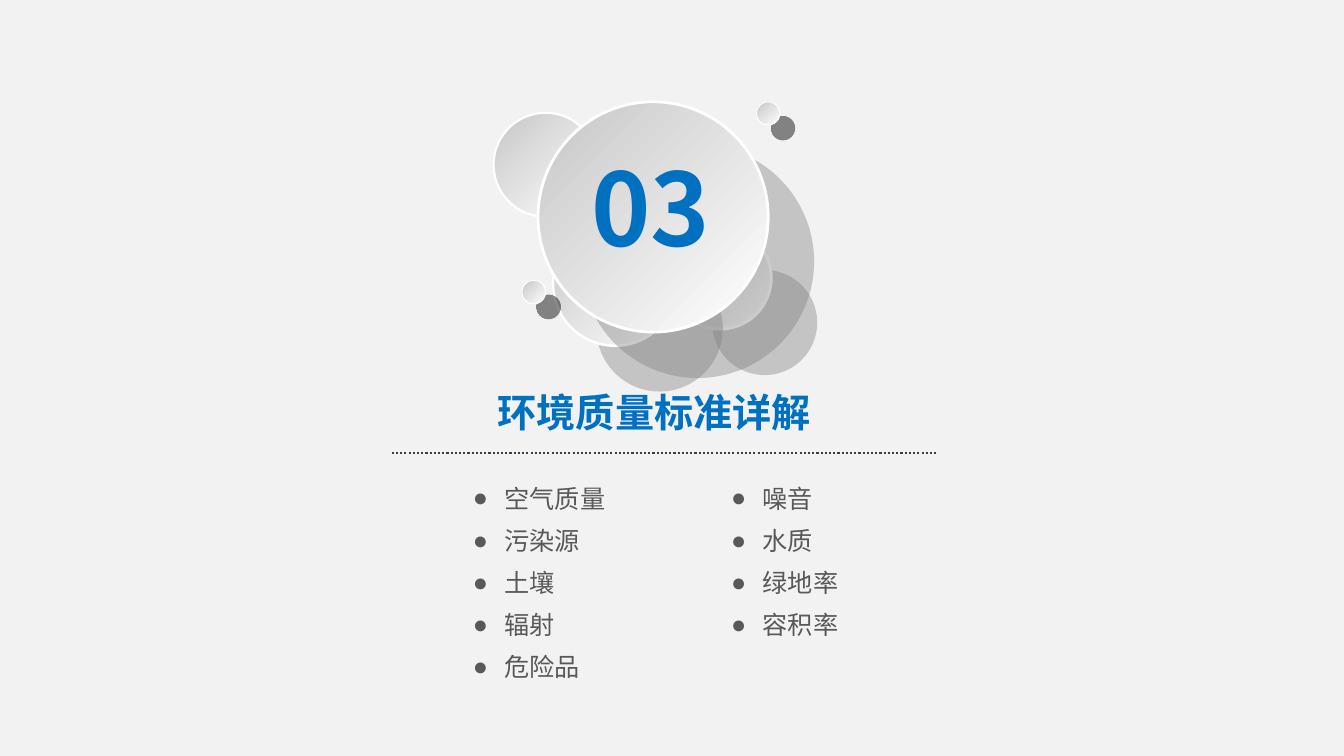
from dataclasses import dataclass

from pptx import Presentation
from pptx.dml.color import RGBColor
from pptx.enum.dml import MSO_LINE
from pptx.enum.shapes import MSO_CONNECTOR, MSO_SHAPE
from pptx.enum.text import MSO_ANCHOR, MSO_AUTO_SIZE, PP_ALIGN
from pptx.oxml.ns import qn
from pptx.oxml.xmlchemy import OxmlElement
from pptx.util import Pt


@dataclass(frozen=True)
class Theme:
    font: str = "Noto Sans CJK SC"
    background: str = "F2F2F2"
    accent: str = "0070C0"
    body: str = "595959"
    rule: str = "3F3F3F"
    light: str = "FFFFFF"
    dark: str = "C7C7C7"
    number_size: float = 72
    title_size: float = 28
    list_size: float = 18


@dataclass(frozen=True)
class Shadow:
    color: str
    alpha: int
    distance: float


@dataclass(frozen=True)
class Bubble:
    left: float
    top: float
    size: float
    outline: float
    shadow: Shadow


@dataclass(frozen=True)
class TopicList:
    idx: int
    left: float
    topics: tuple[str, ...]


THEME = Theme()
SOFT = Shadow("7F7F7F", 40, 45)
SMALL = Shadow("000000", 45, 15)

BUBBLES = (
    Bubble(352.8, 80.6, 74.2, 1.5, SOFT),
    Bubble(478.1, 162, 73.1, 2, SOFT),
    Bubble(395.3, 158.4, 88.6, 1.75, SOFT),
    Bubble(540.7, 72.7, 16.6, 0.75, SMALL),
    Bubble(373, 200.2, 16.9, 0.75, SMALL),
    Bubble(384.5, 72.7, 164.5, 2, SOFT),
)
LISTS = (
    TopicList(1, 338, ("空气质量", "污染源", "土壤", "辐射", "危险品")),
    TopicList(2, 522.5, ("噪音", "水质", "绿地率", "容积率")),
)


def rgb(color: str) -> RGBColor:
    return RGBColor.from_string(color)


def add_node(parent, tag: str, **attrs):
    node = OxmlElement(tag)
    for name, value in attrs.items():
        node.set(name, str(value))
    parent.append(node)
    return node


def place(sp, left: float, top: float, width: float, height: float) -> None:
    sp.left, sp.top, sp.width, sp.height = map(Pt, (left, top, width, height))


def frame(sp):
    tf = sp.text_frame
    tf.word_wrap = True
    tf.auto_size = MSO_AUTO_SIZE.NONE
    tf.vertical_anchor = MSO_ANCHOR.TOP
    tf.margin_left = tf.margin_top = tf.margin_right = tf.margin_bottom = 0
    return tf


def style(p, size: float, color: str, bold: bool = False) -> None:
    p.font.size = Pt(size)
    p.font.bold = bold
    p.font.color.rgb = rgb(color)
    p.font.name = THEME.font
    add_node(p._p.pPr.find(qn("a:defRPr")), "a:ea", typeface=THEME.font)


def write_heading(sp, text: str, size: float) -> None:
    p = frame(sp).paragraphs[0]
    p.text = text
    p.alignment = PP_ALIGN.CENTER
    style(p, size, THEME.accent, bold=True)


def write_list(sp, topics: tuple[str, ...]) -> None:
    tf = frame(sp)
    for i, topic in enumerate(topics):
        p = tf.add_paragraph() if i else tf.paragraphs[0]
        p.text = topic
        p.space_before = Pt(8.5 if i else 0)
        pPr = p._p.get_or_add_pPr()
        pPr.set("marL", str(Pt(22.5)))
        pPr.set("indent", str(-Pt(22.5)))
        add_node(add_node(pPr, "a:buClr"), "a:srgbClr", val=THEME.body)
        add_node(pPr, "a:buFont", typeface="Arial")
        add_node(pPr, "a:buChar", char="●")
        style(p, THEME.list_size, THEME.body)


def draw_bubble(s, b: Bubble) -> None:
    sp = s.shapes.add_shape(MSO_SHAPE.OVAL, *map(Pt, (b.left, b.top, b.size, b.size)))
    sp.fill.gradient()
    sp.fill.gradient_angle = 135
    for stop, position, color in zip(sp.fill.gradient_stops, (0, 1), (THEME.light, THEME.dark)):
        stop.position = position
        stop.color.rgb = rgb(color)
    sp.line.color.rgb = rgb(THEME.light)
    sp.line.width = Pt(b.outline)
    # Hard-edged shadow towards the lower right
    sp.shadow.inherit = False
    effects = sp._element.spPr.find(qn("a:effectLst"))
    shadow = add_node(effects, "a:outerShdw", blurRad=0, dist=Pt(b.shadow.distance),
                      dir=45 * 60000, algn="tl", rotWithShape=0)
    color = add_node(shadow, "a:srgbClr", val=b.shadow.color)
    add_node(color, "a:alpha", val=b.shadow.alpha * 1000)


def draw_rule(s, left: float, right: float, y: float) -> None:
    rule = s.shapes.add_connector(MSO_CONNECTOR.STRAIGHT, *map(Pt, (left, y, right, y)))
    rule.line.color.rgb = rgb(THEME.rule)
    rule.line.width = Pt(1.5)
    rule.line.dash_style = MSO_LINE.ROUND_DOT
    add_node(rule._element.spPr, "a:effectLst")


def main() -> None:
    prs = Presentation()
    prs.slide_width, prs.slide_height = Pt(960.5), Pt(540)
    s = prs.slides.add_slide(prs.slide_layouts[3])
    s.background.fill.solid()
    s.background.fill.fore_color.rgb = rgb(THEME.background)

    # Title and dotted rule
    place(s.shapes.title, 347.5, 277, 240, 42)
    write_heading(s.shapes.title, "环境质量标准详解", THEME.title_size)
    draw_rule(s, 280, 669.6, 323.3)

    # Topic lists
    for column in LISTS:
        sp = s.placeholders[column.idx]
        place(sp, column.left, 345, 110, 170)
        write_list(sp, column.topics)

    # Bubbles with the section number on the largest
    for bubble in BUBBLES:
        draw_bubble(s, bubble)
    number = s.shapes.add_textbox(*map(Pt, (381.5, 104, 167, 105)))
    write_heading(number, "03", THEME.number_size)

    prs.save("out.pptx")


if __name__ == "__main__":
    main()
